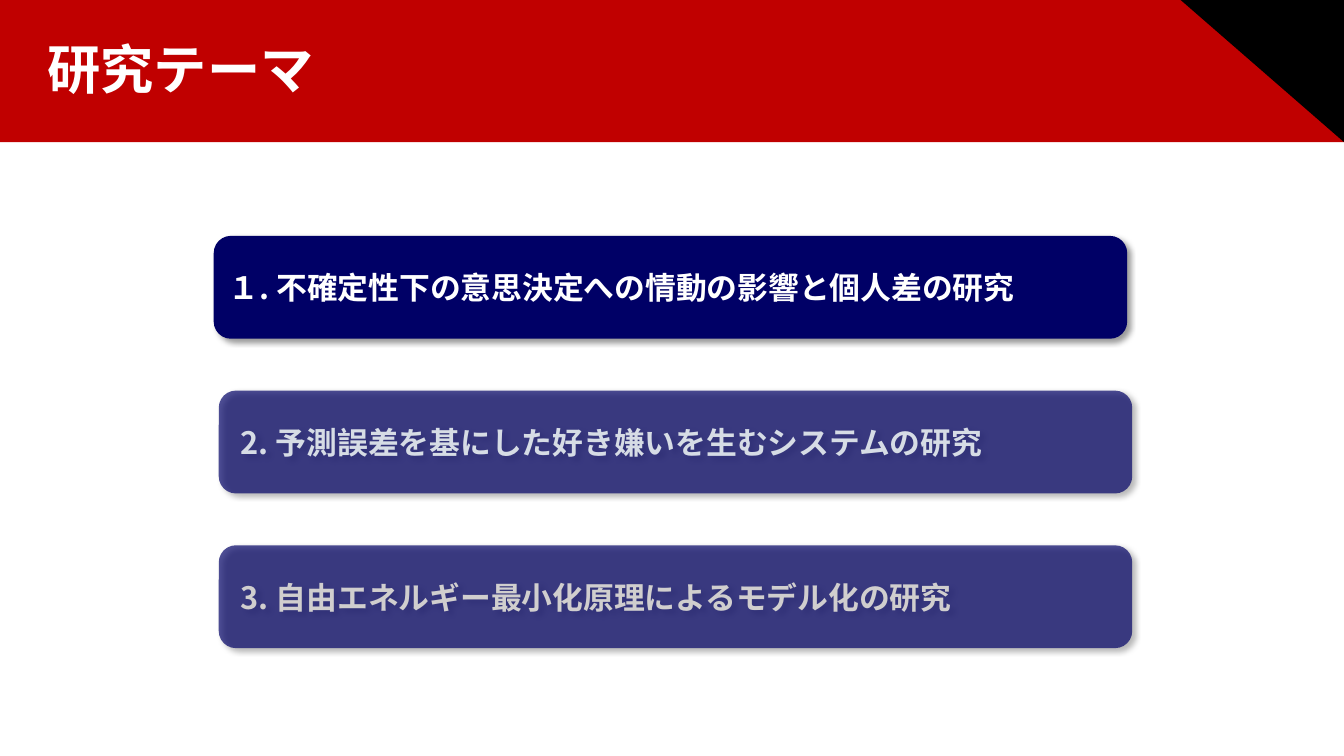
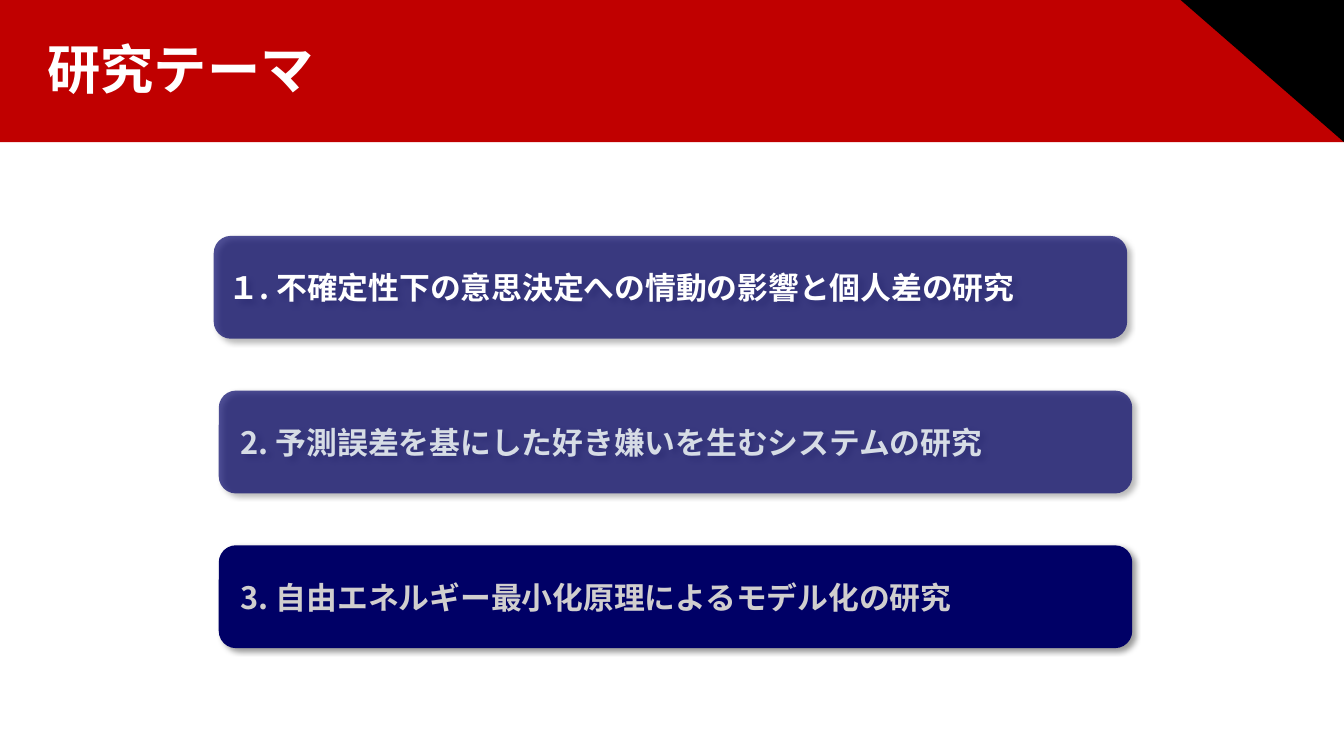
from lxml import etree
from pptx import Presentation
from pptx.dml.color import RGBColor
from pptx.enum.shapes import MSO_SHAPE as Preset
from pptx.enum.text import MSO_ANCHOR as Anchor, MSO_AUTO_SIZE as AutoSize, PP_ALIGN as Align
from pptx.oxml import parse_xml
from pptx.oxml.ns import nsdecls, qn
from pptx.util import Inches, Pt

# Content
TITLE = "研究テーマ"
THEMES = [  # text, text colour, left edge
    ("１. 不確定性下の意思決定への情動の影響と個人差の研究", "FFFFFF", 2.12),
    (" 2. 予測誤差を基にした好き嫌いを生むシステムの研究", "D6DCE5", 2.17),
    (" 3. 自由エネルギー最小化原理によるモデル化の研究", "D0CECE", 2.17),
]
HIGHLIGHTS = [0, 2]  # the solid theme on each slide

# Shared style
FONT = "Noto Sans CJK JP"
RED, BLACK, NAVY, WHITE = "C00000", "000000", "000066", "FFFFFF"
SLIDE_W, SLIDE_H = 13.33, 7.5
BAND_H, CORNER_W = 1.41, 1.62
THEME_TOP, THEME_W, THEME_H, THEME_STEP = 2.34, 9.06, 1.02, 1.535
FADED_ALPHA = 69

SHADOW = f"""<a:effectLst {nsdecls("a")}>
  <a:outerShdw blurRad="{Pt(4)}" dist="{Pt(3)}" dir="2700000" algn="tl" rotWithShape="0">
    <a:srgbClr val="{BLACK}"><a:alpha val="40000"/></a:srgbClr>
  </a:outerShdw>
</a:effectLst>"""


def color(hex_code):
    return RGBColor.from_string(hex_code)


def add_block(slide, preset, left, top, width, height, fill):
    block = slide.shapes.add_shape(preset, *map(Inches, (left, top, width, height)))
    block.shadow.inherit = False
    block.fill.solid()
    block.fill.fore_color.rgb = color(fill)
    block.line.fill.background()
    return block


def write(frame, text, size, text_color):
    frame.text = text
    frame.vertical_anchor = Anchor.MIDDLE
    frame.word_wrap = True
    paragraph = frame.paragraphs[0]
    paragraph.alignment = Align.LEFT
    font = paragraph.font
    font.name, font.size, font.bold = FONT, Pt(size), True
    font.color.rgb = color(text_color)
    # East Asian text needs its own typeface entry
    etree.SubElement(font._element, qn("a:ea")).set("typeface", FONT)
    return paragraph


def add_header(slide):
    add_block(slide, Preset.RECTANGLE, 0, 0, SLIDE_W, BAND_H, RED)
    corner = add_block(slide, Preset.RIGHT_TRIANGLE, SLIDE_W - CORNER_W, 0,
                       CORNER_W, BAND_H, BLACK)
    corner.rotation = 180
    title = slide.shapes.title
    title.left, title.top, title.width, title.height = map(Inches, (0.37, 0.36, 11.96, 0.72))
    write(title.text_frame, TITLE, 38, WHITE).line_spacing = 0.9
    title.text_frame.auto_size = AutoSize.NONE
    slide.shapes._spTree.append(title._element)  # in front of the band


def add_theme(slide, row, solid):
    text, text_color, left = THEMES[row]
    box = add_block(slide, Preset.ROUNDED_RECTANGLE, left, THEME_TOP + row * THEME_STEP,
                    THEME_W, THEME_H, NAVY)
    write(box.text_frame, text, 22, text_color)
    properties = box._element.spPr
    properties.replace(properties.find(qn("a:effectLst")), parse_xml(SHADOW))
    if not solid:
        navy = properties.find(qn("a:solidFill"))[0]
        etree.SubElement(navy, qn("a:alpha")).set("val", str(FADED_ALPHA * 1000))


def main():
    deck = Presentation()
    deck.slide_width, deck.slide_height = Inches(SLIDE_W), Inches(SLIDE_H)
    for highlight in HIGHLIGHTS:
        slide = deck.slides.add_slide(deck.slide_layouts[5])
        add_header(slide)
        for row in range(len(THEMES)):
            add_theme(slide, row, row == highlight)
    deck.save("out.pptx")


if __name__ == "__main__":
    main()
